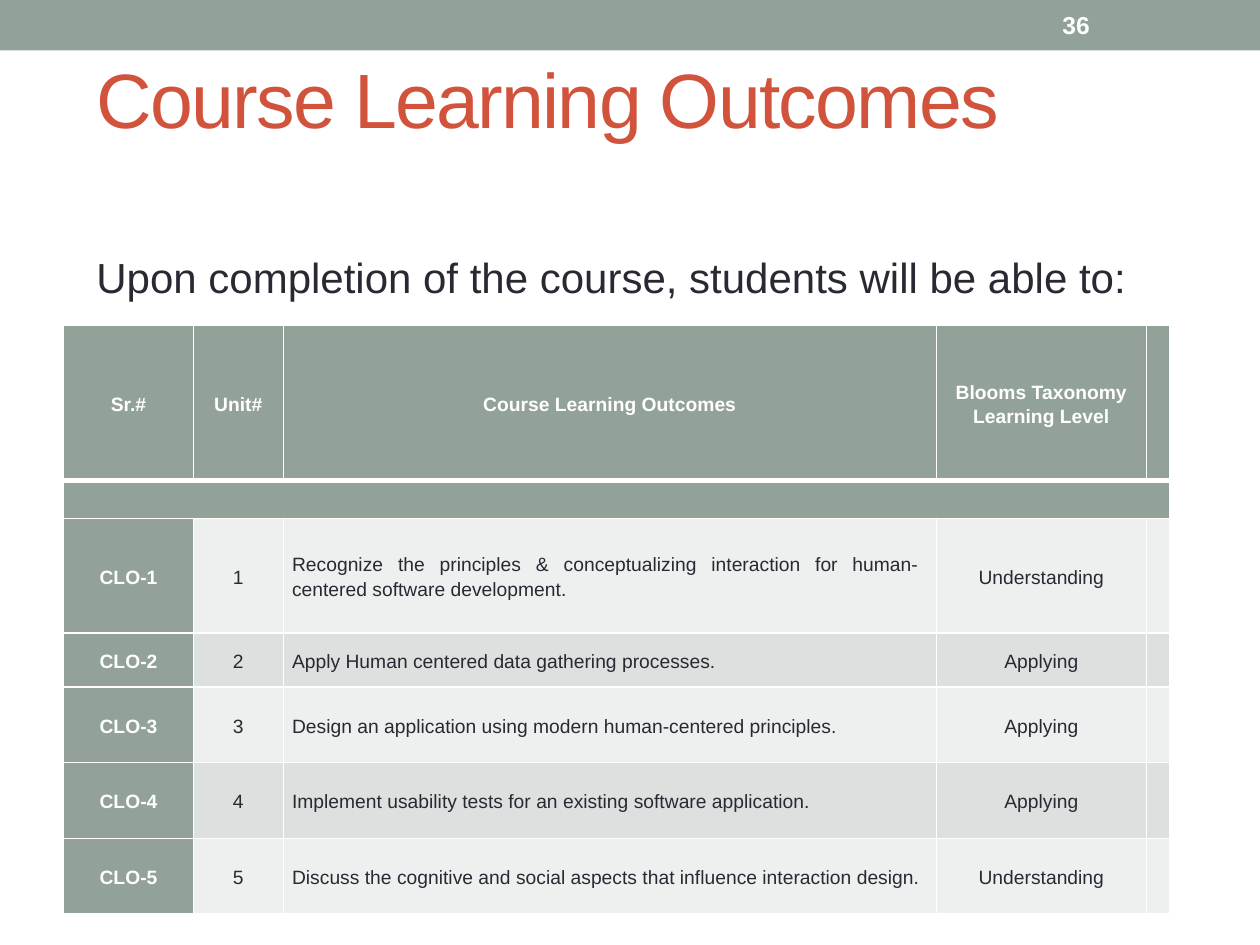
"""Build the Course Learning Outcomes slide."""
import pptx
import pptx.dml.color
import pptx.enum.shapes
import pptx.enum.text
import pptx.oxml
import pptx.oxml.ns
import pptx.util

Pt = pptx.util.Pt
ALIGN = pptx.enum.text.PP_ALIGN
MIDDLE = pptx.enum.text.MSO_ANCHOR.MIDDLE
SAGE, WHITE, INK, RUST = "93A299", "FFFFFF", "292934", "D2533C"


def rgb(color):
    return pptx.dml.color.RGBColor.from_string(color)


def write(p, text, size, color, bold=False):
    p.text = text
    p.font.name = "Arial"
    p.font.size = Pt(size)
    p.font.bold = bold
    p.font.color.rgb = rgb(color)


prs = pptx.Presentation()
prs.slide_width, prs.slide_height = Pt(720), Pt(540)
s = prs.slides.add_slide(prs.slide_layouts[6])

band = s.shapes.add_shape(pptx.enum.shapes.MSO_SHAPE.RECTANGLE, 0, 0, Pt(720), Pt(28.8))
band.shadow.inherit = False
band.fill.solid()
band.fill.fore_color.rgb = rgb(SAGE)
band.line.fill.background()

texts = [
    ("Course Learning Outcomes", 48, 21.6, 636, 68.4, 44, RUST, False),
    ("36", 600, 1.4, 84, 26, 14, WHITE, True),
    ("Upon completion of the course, students will be able to:", 48, 140, 642, 36, 24, INK, False),
]
for text, x, y, w, h, size, color, bold in texts:
    sp = s.shapes.add_textbox(Pt(x), Pt(y), Pt(w), Pt(h))
    tf = sp.text_frame
    tf.word_wrap = True
    tf.vertical_anchor = MIDDLE
    p = tf.paragraphs[0]
    write(p, text, size, color, bold)
    if size == 44:
        p.runs[0].font._element.set("spc", "-100")

outcomes = [
    ("Recognize the principles & conceptualizing interaction for human-centered software development.",
     "Understanding"),
    ("Apply Human centered data gathering processes.", "Applying"),
    ("Design an application using modern human-centered principles.", "Applying"),
    ("Implement usability tests for an existing software application.", "Applying"),
    ("Discuss the cognitive and social aspects that influence interaction design.", "Understanding"),
]
rows = [("Sr.#", "Unit#", "Course Learning Outcomes", "Blooms Taxonomy Learning Level", ""), ("",) * 5]
rows += [(f"CLO-{n}", str(n), text, level, "") for n, (text, level) in enumerate(outcomes, 1)]
widths = [74.1, 51.4, 373.2, 120, 13.3]
heights = [88.6, 20.8, 65.6, 30.8, 43.2, 43.2, 43.2]

table = s.shapes.add_table(len(rows), len(widths), Pt(36.4), Pt(186), Pt(sum(widths)), Pt(sum(heights))).table
for col, width in zip(table.columns, widths):
    col.width = Pt(width)
for row, height in zip(table.rows, heights):
    row.height = Pt(height)
table.cell(1, 0).merge(table.cell(1, 4))

for r, row in enumerate(rows):
    for c, text in enumerate(row):
        cell = table.cell(r, c)
        cell.margin_left = cell.margin_right = Pt(5)
        cell.margin_top = cell.margin_bottom = 0
        cell.vertical_anchor = MIDDLE
        strong = r < 2 or c == 0
        thick = {0: "B", 1: "T"}.get(r)
        for side in "LRTB":
            width = Pt(3 if side == thick else 1)
            cell._tc.tcPr.append(pptx.oxml.parse_xml(
                f'<a:ln{side} {pptx.oxml.ns.nsdecls("a")} w="{width}"><a:solidFill>'
                f'<a:srgbClr val="{WHITE}"/></a:solidFill></a:ln{side}>'))
        cell.fill.solid()
        cell.fill.fore_color.rgb = rgb(SAGE if strong else ("EEF0EF", "DCE0DE")[r % 2])
        if text:
            p = cell.text_frame.paragraphs[0]
            write(p, text, 11, WHITE if strong else INK, strong)
            p.line_spacing = 1.15
            p.alignment = ALIGN.CENTER
            if c == 2 and r > 1:
                p.alignment = ALIGN.JUSTIFY
                cell.margin_right = Pt(5 if r == len(rows) - 1 else 10)

prs.save("out.pptx")
